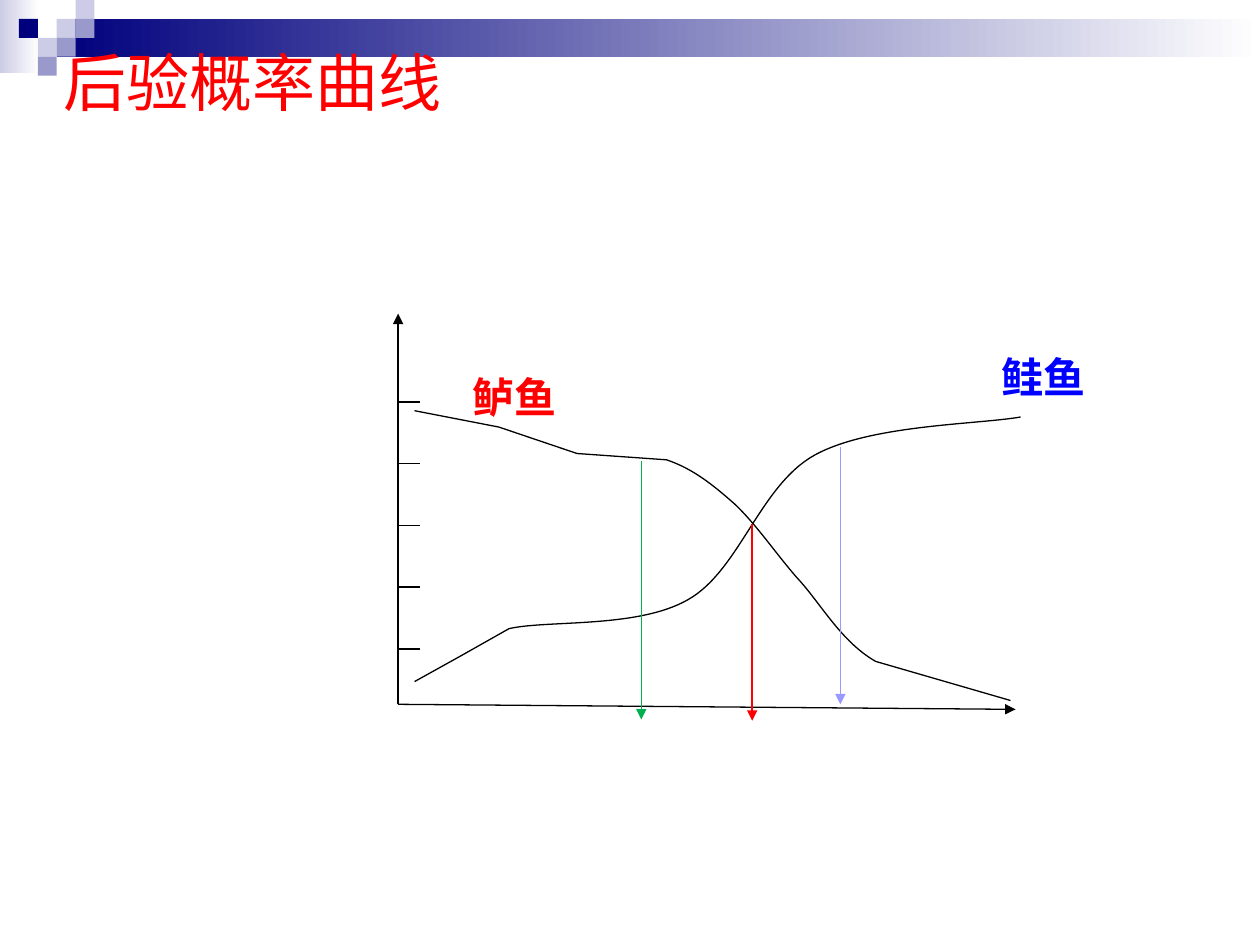
from lxml.etree import SubElement
from pptx import Presentation
from pptx.dml.color import RGBColor
from pptx.enum.shapes import MSO_CONNECTOR, MSO_SHAPE
from pptx.enum.text import MSO_ANCHOR, MSO_AUTO_SIZE, PP_ALIGN
from pptx.oxml.ns import qn
from pptx.util import Inches, Pt

BLACK = RGBColor(0x00, 0x00, 0x00)
WHITE = RGBColor(0xFF, 0xFF, 0xFF)
RED = RGBColor(0xFF, 0x00, 0x00)
BLUE = RGBColor(0x00, 0x00, 0xFF)
GREEN = RGBColor(0x00, 0xB0, 0x50)
NAVY = RGBColor(0x00, 0x00, 0x7D)
PALE = RGBColor(0xCC, 0xCC, 0xE6)
MID = RGBColor(0x99, 0x99, 0xCC)
LILAC = RGBColor(0x99, 0x99, 0xFF)

TITLE = "后验概率曲线"
# left, top, width, height, start colour of a fade to white
BANDS = [(0, 0, 0.31, 0.58, PALE), (0.45, 0.15, 9.55, 0.3, NAVY)]
SIDE = 0.15
# column and row on the grid of small squares
TILES = [(3, 1, PALE), (4, 0, PALE), (4, 1, MID), (2, 2, PALE),
         (1, 1, NAVY), (3, 2, MID), (2, 3, MID)]

ORIGIN = (3.16, 5.59)
AXES = [(8.06, 5.63), (3.16, 2.49)]
TICKS, TICK_TOP, TICK_GAP, TICK_LEN = 5, 3.19, 0.49, 0.17
# Each step holds one point for a straight line, three for a Bezier curve
SALMON = [(3.29, 5.41), [(3.65, 5.21)], [(4.04, 4.99)],
          [(4.34, 4.92), (5.06, 4.99), (5.46, 4.76)],
          [(5.87, 4.53), (6.03, 3.85), (6.47, 3.61)],
          [(6.91, 3.37), (7.76, 3.37), (8.1, 3.31)]]
BASS = [(8.02, 5.56), [(6.95, 5.25)],
        [(6.67, 5.09), (6.51, 4.78), (6.32, 4.58)],
        [(6.14, 4.37), (6, 4.16), (5.83, 4)],
        [(5.66, 3.85), (5.5, 3.72), (5.29, 3.65)],
        [(4.58, 3.6)], [(3.96, 3.39)], [(3.29, 3.26)]]
# x, top, bottom, colour, width
DROPS = [(5.97, 4.16, 5.72, RED, 1), (6.67, 3.55, 5.59, LILAC, 0.5),
         (5.09, 3.66, 5.71, GREEN, 0.5)]
# text, left, top, width, colour, wrap
LABELS = [("鲈鱼", 3.65, 2.9, 1.18, RED, True),
          ("鲑鱼", 7.85, 2.74, 0.87, BLUE, False)]


def write(shape, text, size, color, font, bold=False, wrap=True,
          anchor=MSO_ANCHOR.TOP, fit=MSO_AUTO_SIZE.NONE):
    frame = shape.text_frame
    frame.word_wrap = wrap
    frame.auto_size = fit
    frame.vertical_anchor = anchor
    para = frame.paragraphs[0]
    para.alignment = PP_ALIGN.LEFT
    run = para.add_run()
    run.text = text
    run.font.size = Pt(size)
    run.font.name = font
    run.font.bold = bold
    run.font.color.rgb = color


def add_rect(shapes, left, top, width, height, color, fade=False):
    rect = shapes.add_shape(MSO_SHAPE.RECTANGLE, Inches(left), Inches(top),
                            Inches(width), Inches(height))
    rect.shadow.inherit = False
    rect.line.fill.background()
    if fade:
        rect.fill.gradient()
        rect.fill.gradient_angle = 0
        for stop, shade in zip(rect.fill.gradient_stops, (color, WHITE)):
            stop.color.rgb = shade
    else:
        rect.fill.solid()
        rect.fill.fore_color.rgb = color


def add_line(shapes, start, end, color=BLACK, width=0.75, arrow=False):
    line = shapes.add_connector(MSO_CONNECTOR.STRAIGHT,
                                *(Inches(v) for v in (*start, *end)))
    line.line.color.rgb = color
    line.line.width = Pt(width)
    if arrow:
        SubElement(line.line._get_or_add_ln(), qn("a:tailEnd"),
                   type="triangle")
    SubElement(line._element.spPr, qn("a:effectLst"))


def add_curve(shapes, start, *steps):
    """Draw the steps as lines, then join each three into a Bezier curve."""
    first, *rest = [(Inches(x), Inches(y))
                    for x, y in [start, *(p for step in steps for p in step)]]
    pen = shapes.build_freeform(*first)
    pen.add_line_segments(rest, close=False)
    curve = pen.convert_to_shape()
    curve.shadow.inherit = False
    curve.fill.background()
    curve.line.color.rgb = BLACK
    curve.line.width = Pt(0.75)

    route = curve._element.find(".//" + qn("a:path"))
    parts = iter(route.findall(qn("a:lnTo")))
    for step in steps:
        group = [next(parts) for _ in step]
        if len(step) == 3:
            bend = SubElement(route, qn("a:cubicBezTo"))
            group[0].addprevious(bend)
            for part in group:
                bend.append(part[0])
                route.remove(part)


def main():
    deck = Presentation()
    deck.slide_width, deck.slide_height = Inches(10), Inches(7.5)
    slide = deck.slides.add_slide(deck.slide_layouts[5])
    shapes = slide.shapes

    decor = shapes.add_group_shape()
    for band in BANDS:
        add_rect(decor.shapes, *band, fade=True)
    for col, row, color in TILES:
        add_rect(decor.shapes, col * SIDE, row * SIDE, SIDE, SIDE, color)
    # The decoration belongs on the master, behind its placeholders
    deck.slide_master.shapes._spTree.insert(2, decor._element)

    title = shapes.title
    title.left, title.top = Inches(0.4), Inches(0.13)
    title.width, title.height = Inches(9), Inches(1.03)
    write(title, TITLE, 36, RED, "Arial", anchor=MSO_ANCHOR.MIDDLE)

    plot = shapes.add_group_shape().shapes
    for end in AXES:
        add_line(plot, ORIGIN, end, arrow=True)
    for curve in (SALMON, BASS):
        add_curve(plot, *curve)
    for i in range(TICKS):
        x, y = ORIGIN[0], TICK_TOP + i * TICK_GAP
        add_line(plot, (x, y), (x + TICK_LEN, y))

    for x, top, bottom, color, width in DROPS:
        add_line(shapes, (x, top), (x, bottom), color, width, arrow=True)
    for text, left, top, width, color, wrap in LABELS:
        box = shapes.add_textbox(Inches(left), Inches(top),
                                 Inches(width), Inches(0.5))
        write(box, text, 24, color, "DejaVu Sans", bold=True, wrap=wrap,
              fit=MSO_AUTO_SIZE.SHAPE_TO_FIT_TEXT)

    deck.save("out.pptx")


if __name__ == "__main__":
    main()
